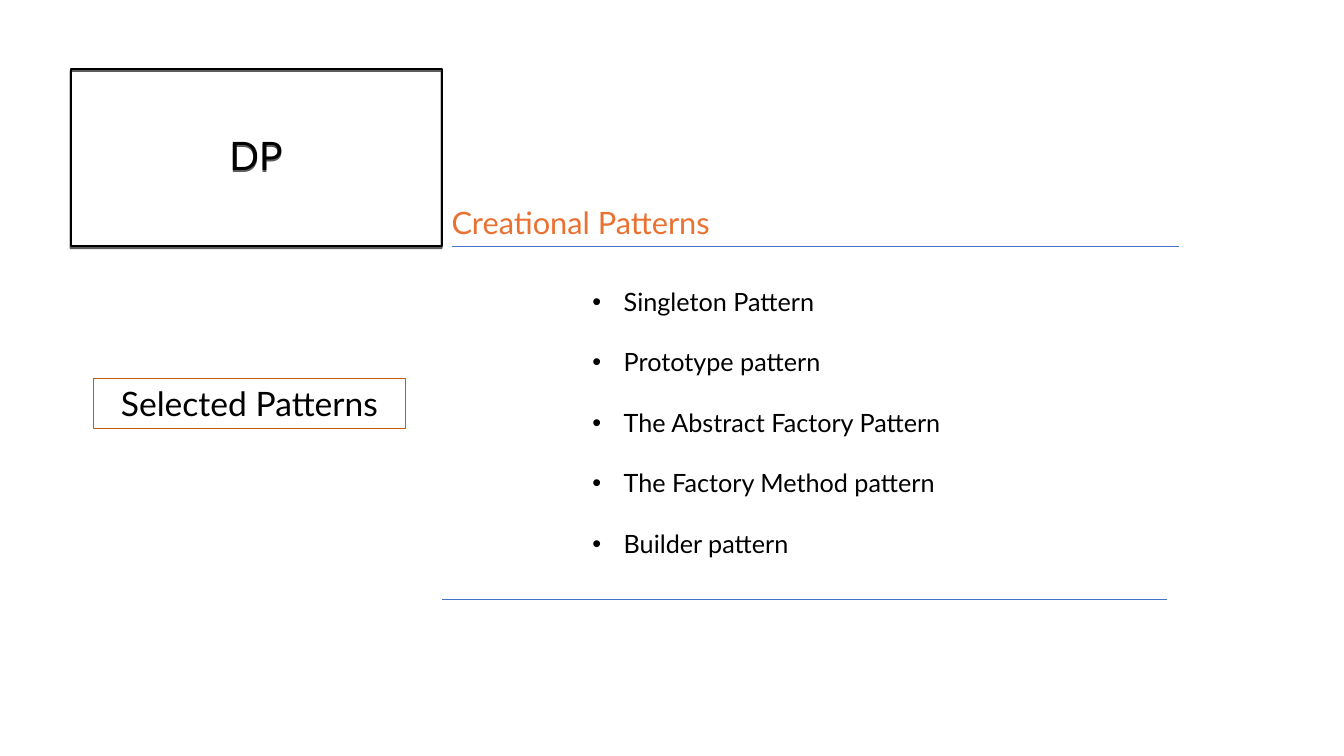
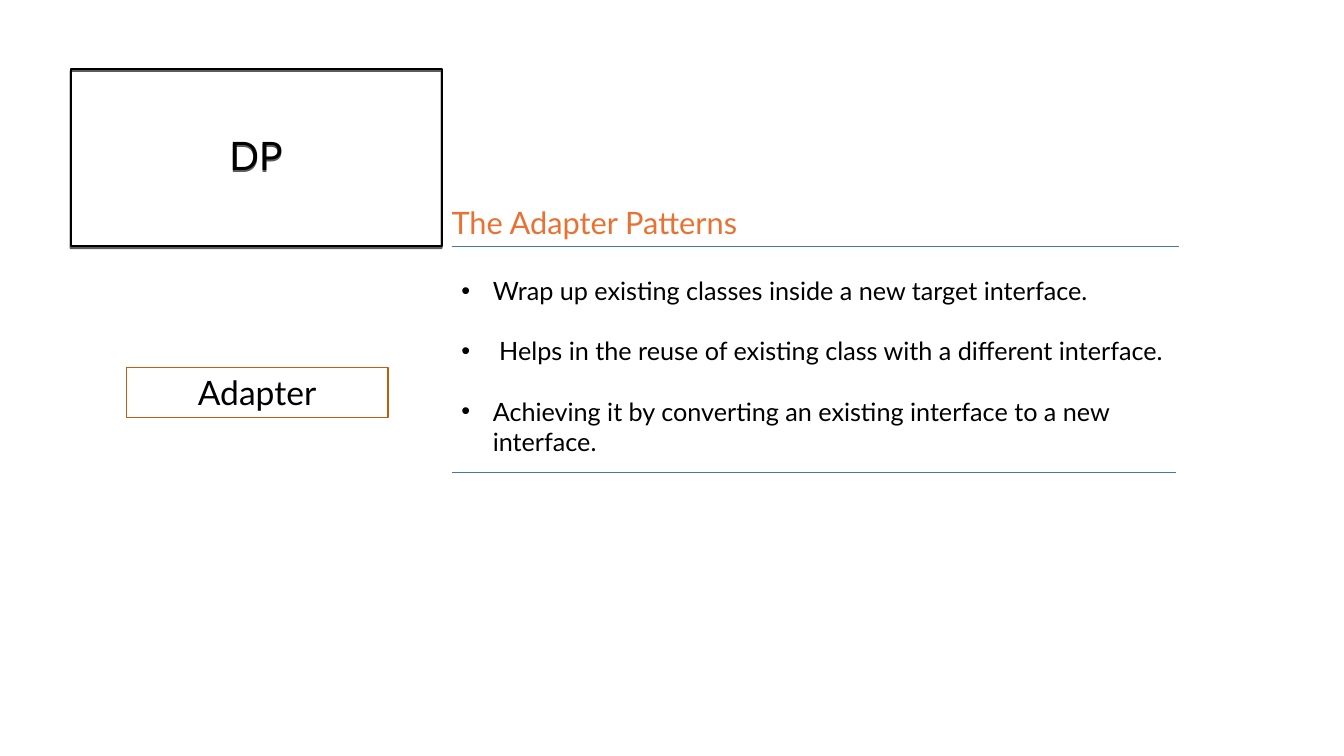
from dataclasses import dataclass

from lxml.etree import SubElement
from pptx import Presentation
from pptx.dml.color import RGBColor
from pptx.enum.shapes import MSO_CONNECTOR, MSO_SHAPE
from pptx.enum.text import MSO_ANCHOR, PP_ALIGN
from pptx.oxml.ns import qn
from pptx.util import Cm, Pt


@dataclass(frozen=True)
class Theme:
    font: str = "Lato"
    ink: RGBColor = RGBColor(0x00, 0x00, 0x00)
    accent: RGBColor = RGBColor(0xE9, 0x71, 0x32)
    frame: RGBColor = RGBColor(0xC5, 0x5A, 0x11)
    rule: RGBColor = RGBColor(0x44, 0x72, 0xC4)
    title_size: Pt = Pt(28)
    label_size: Pt = Pt(24)
    heading_size: Pt = Pt(22)
    body_size: Pt = Pt(18)
    item_gap: Pt = Pt(21.6)
    title_line: Pt = Pt(1.5)
    label_line: Pt = Pt(0.75)
    rule_line: Pt = Pt(0.5)


THEME = Theme()
TITLE_PLACE = (1.78, 1.73, 9.35, 4.47)
HEADING_PLACE = (11.13, 5, 16.94, 1.19)
HEADING_RULE = (11.38, 29.72, 6.2)
CENTRED = {"alignment": PP_ALIGN.CENTER}

# Places are left, top, width, height; rules are left, right, height on the page; all in cm.
PAGES = [
    {
        "heading": "Creational Patterns",
        "label": "Selected Patterns",
        "label_place": (2.36, 9.53, 7.85, 1.27),
        "items": [
            "Singleton Pattern",
            "Prototype pattern",
            "The Abstract Factory Pattern",
            "The Factory Method pattern",
            "Builder pattern",
        ],
        "items_place": (14.68, 7.09, 9.8, 7.19),
        "closing_rule": (11.13, 29.41, 15.11),
    },
    {
        "heading": "The Adapter Patterns",
        "label": "Adapter",
        "label_place": (3.18, 9.25, 6.6, 1.27),
        "items": [
            "Wrap up existing classes inside a new target interface.",
            " Helps in the reuse of existing class with a different interface.",
            "Achieving it by converting an existing interface to a new interface.",
        ],
        "items_place": (11.38, 6.81, 19.05, 4.11),
        "closing_rule": (11.38, 29.64, 11.91),
    },
]


def write(box, lines, size, color, anchor=MSO_ANCHOR.TOP, layout=None, bullets=False):
    """Fill a box with one paragraph per line, bulleted and spaced if asked."""
    frame = box.text_frame
    frame.word_wrap = True
    frame.vertical_anchor = anchor
    for index, line in enumerate(lines):
        para = frame.paragraphs[0] if index == 0 else frame.add_paragraph()
        if bullets:
            properties = para._p.get_or_add_pPr()
            properties.set("marL", str(Cm(0.79)))
            properties.set("indent", str(-Cm(0.79)))
            SubElement(properties, qn("a:buFont"), typeface="Arial")
            SubElement(properties, qn("a:buChar"), char="•")
            if index:
                para.space_before = THEME.item_gap
        for name, value in (layout or {}).items():
            setattr(para, name, value)
        span = para.add_run()
        span.text = line
        for name, value in {"name": THEME.font, "size": size}.items():
            setattr(span.font, name, value)
        span.font.color.rgb = color


def add_frame(page, place, color, width):
    """Add an unfilled rectangle with an outline and no shadow."""
    box = page.shapes.add_shape(MSO_SHAPE.RECTANGLE, *map(Cm, place))
    box.shadow.inherit = False
    box.fill.background()
    box.line.color.rgb = color
    box.line.width = width
    return box


deck = Presentation()
deck.slide_width, deck.slide_height = Cm(33.87), Cm(19.05)

for content in PAGES:
    page = deck.slides.add_slide(deck.slide_layouts[6])

    title = add_frame(page, TITLE_PLACE, THEME.ink, THEME.title_line)
    effects = title._element.spPr.find(qn("a:effectLst"))
    shadow = SubElement(effects, qn("a:outerShdw"), blurRad="0", dist=str(Pt(1.5)),
                        dir="5400000", algn="ctr", rotWithShape="0")
    shade = SubElement(shadow, qn("a:srgbClr"), val=str(THEME.ink))
    SubElement(shade, qn("a:alpha"), val="63000")
    write(title, ["DP"], THEME.title_size, THEME.ink, MSO_ANCHOR.MIDDLE,
          CENTRED | {"line_spacing": 0.9})

    for left, right, level in (HEADING_RULE, content["closing_rule"]):
        rule = page.shapes.add_connector(
            MSO_CONNECTOR.STRAIGHT, Cm(left), Cm(level), Cm(right), Cm(level))
        rule.line.color.rgb = THEME.rule
        rule.line.width = THEME.rule_line
        SubElement(rule._element.spPr, qn("a:effectLst"))

    label = add_frame(page, content["label_place"], THEME.frame, THEME.label_line)
    write(label, [content["label"]], THEME.label_size, THEME.ink, layout=CENTRED)

    heading = page.shapes.add_textbox(*map(Cm, HEADING_PLACE))
    write(heading, [content["heading"]], THEME.heading_size, THEME.accent)

    items = page.shapes.add_textbox(*map(Cm, content["items_place"]))
    write(items, content["items"], THEME.body_size, THEME.ink, bullets=True)

deck.save("out.pptx")
